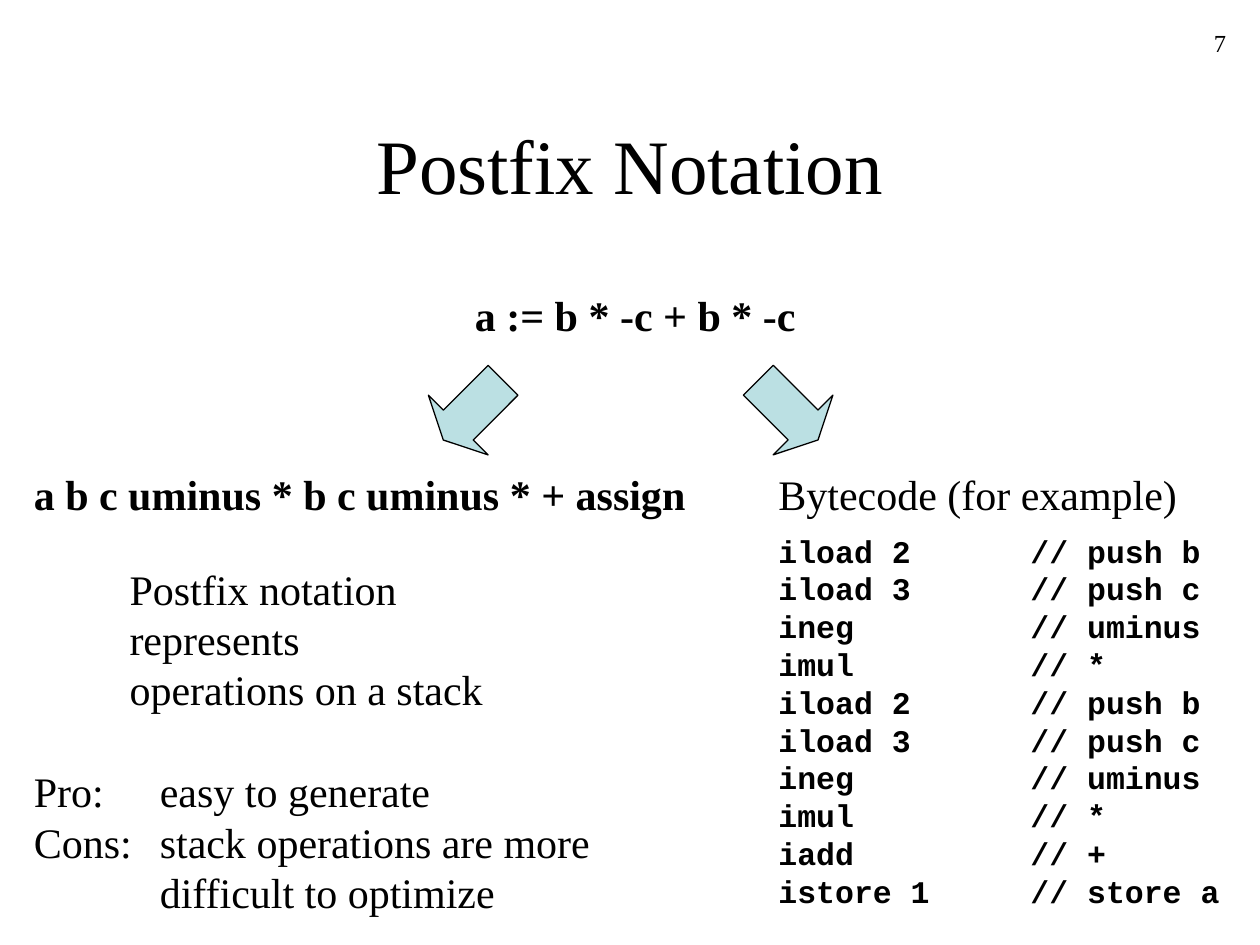
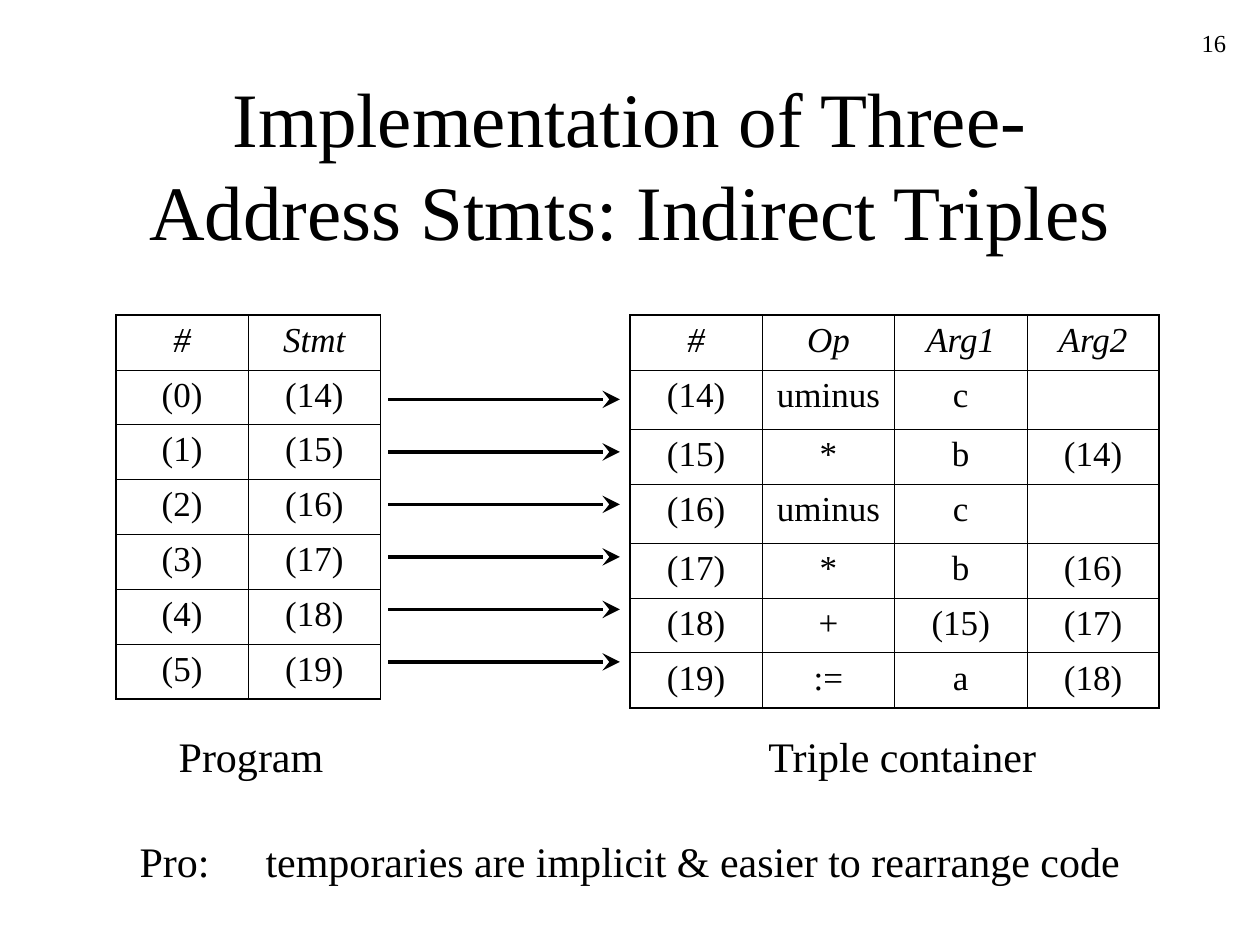
from dataclasses import dataclass

from lxml import etree
from pptx import Presentation
from pptx import util as u
from pptx.dml.color import RGBColor
from pptx.enum import shapes, text
from pptx.oxml import ns

In = u.Inches


@dataclass(frozen=True)
class Theme:
    serif: str = "Times New Roman"
    mono: str = "Courier New"
    ink: RGBColor = RGBColor(0x00, 0x00, 0x00)
    paper: RGBColor = RGBColor(0xFF, 0xFF, 0xFF)
    arrow: RGBColor = RGBColor(0xBB, 0xE0, 0xE3)
    title: int = 44
    body: int = 24
    cell: int = 20
    code: int = 18
    number: int = 14
    leading: float = 1.2
    cell_leading: float = 1.1
    outer: float = 1.08
    inner: float = 0.45


T = Theme()

POSTFIX_TITLE = "Postfix Notation"
TRIPLES_TITLE = "Implementation of Three-Address Stmts: Indirect Triples"

BYTECODE = [
    "iload 2\t// push b",
    "iload 3\t// push c",
    "ineg\t\t// uminus",
    "imul\t\t// *",
    "iload 2\t// push b",
    "iload 3\t// push c",
    "ineg\t\t// uminus",
    "imul\t\t// *",
    "iadd\t\t// +",
    "istore 1\t// store a",
]

POSTFIX_TEXTS = [
    ((3.67, 2.25, 2.85, 0.5), "a := b * -c + b * -c", dict(bold=True)),
    ((0.17, 3.67, 5.5, 0.5), "a b c uminus * b c uminus * + assign", dict(bold=True)),
    ((6.08, 4.17, 3.8, 3.1), "\v".join(BYTECODE), dict(size=T.code, font=T.mono, bold=True)),
    ((6.08, 3.67, 3.5, 0.5), "Bytecode (for example)", {}),
    ((0.93, 4.42, 3.7, 1.3), "Postfix notation represents\noperations on a stack", {}),
    ((0.17, 6.03, 4.8, 1.3),
     "Pro:\teasy to generate\nCons:\tstack operations are more\v\tdifficult to optimize", {}),
]
BLOCK_ARROWS = [(5.92, 45), (3.42, 135)]

PROGRAM = [("#", "Stmt")] + [(f"({i})", f"({i + 14})") for i in range(6)]
TRIPLES = [
    ("#", "Op", "Arg1", "Arg2"),
    ("(14)", "uminus", "c", ""),
    ("(15)", "*", "b", "(14)"),
    ("(16)", "uminus", "c", ""),
    ("(17)", "*", "b", "(16)"),
    ("(18)", "+", "(15)", "(17)"),
    ("(19)", ":=", "a", "(18)"),
]
TRIPLES_TEXTS = [
    ((6, 5.75, 2.5, 0.5), "Triple container", {}),
    ((1.01, 6.58, 8.2, 0.5), "Pro:\ttemporaries are implicit & easier to rearrange code", {}),
    ((1.32, 5.75, 1.5, 0.5), "Program", {}),
]
TABLE_TOP = 2.5
COL_W, ROW_H, BLANK_ROW_H = 1.05, 3.05 / 7, 0.47
LINK_X, LINK_TOP, LINK_STEP = (3.08, 4.92), 3.17, 5 / 12


def add_tabs(p):
    tabs = etree.SubElement(p._p.get_or_add_pPr(), ns.qn("a:tabLst"))
    for i in range(8):
        etree.SubElement(tabs, ns.qn("a:tab"), pos=str(In(i)), algn="l")


def style(p, size, font=T.serif, bold=False, italic=False,
          align=text.PP_ALIGN.LEFT, leading=T.leading):
    p.alignment = align
    p.line_spacing = u.Pt(round(size * leading, 1))
    if "\t" in p.text:
        add_tabs(p)
    f = p.font
    f.name, f.size, f.bold, f.italic = font, u.Pt(size), bold, italic
    f.color.rgb = T.ink


def add_text(s, box, words, anchor=text.MSO_ANCHOR.TOP, size=T.body, **look):
    tf = s.shapes.add_textbox(*map(In, box)).text_frame
    tf.word_wrap = True
    tf.vertical_anchor = anchor
    tf.text = words
    for p in tf.paragraphs:
        style(p, size, **look)


def add_slide(prs, title, number, texts):
    s = prs.slides.add_slide(prs.slide_layouts[6])
    s.background.fill.solid()
    s.background.fill.fore_color.rgb = T.paper
    add_text(s, (0.75, 0.67, 8.5, 1.25), title, size=T.title,
             anchor=text.MSO_ANCHOR.MIDDLE, align=text.PP_ALIGN.CENTER)
    add_text(s, (7.75, 0.17, 2.08, 0.5), number, size=T.number, align=text.PP_ALIGN.RIGHT)
    for box, words, look in texts:
        add_text(s, box, words, **look)
    return s


def add_block_arrow(s, left, angle):
    sp = s.shapes.add_shape(shapes.MSO_SHAPE.RIGHT_ARROW, In(left), In(2.92), In(0.67), In(0.67))
    sp.adjustments[0], sp.adjustments[1] = 0.5, 0.25
    sp.rotation = angle
    sp.shadow.inherit = False
    sp.fill.solid()
    sp.fill.fore_color.rgb = T.arrow
    sp.line.color.rgb = T.ink
    sp.line.width = u.Pt(0.75)


def set_borders(cell, outer_sides):
    tcPr = cell._tc.get_or_add_tcPr()
    for i, side in enumerate("LRTB"):
        width = T.outer if outer_sides[side] else T.inner
        ln = etree.Element(ns.qn(f"a:ln{side}"), w=str(u.Pt(width)))
        fill = etree.SubElement(ln, ns.qn("a:solidFill"))
        etree.SubElement(fill, ns.qn("a:srgbClr"), val=str(T.ink))
        tcPr.insert(i, ln)


def add_grid(s, left, rows):
    n, m = len(rows), len(rows[0])
    heights = [ROW_H if all(row) else BLANK_ROW_H for row in rows]
    table = s.shapes.add_table(n, m, In(left), In(TABLE_TOP),
                               In(m * COL_W), In(sum(heights))).table
    table.first_row = table.horz_banding = False
    for col in table.columns:
        col.width = In(COL_W)
    for r, row in enumerate(rows):
        table.rows[r].height = In(heights[r])
        for c, words in enumerate(row):
            cell = table.cell(r, c)
            cell.text = words
            cell.fill.background()
            style(cell.text_frame.paragraphs[0], T.cell, italic=r == 0,
                  align=text.PP_ALIGN.CENTER, leading=T.cell_leading)
            set_borders(cell, dict(L=c == 0, R=c == m - 1, T=r == 0, B=r == n - 1))


def add_link(s, y):
    x1, x2 = LINK_X
    link = s.shapes.add_connector(shapes.MSO_CONNECTOR.STRAIGHT, In(x1), In(y), In(x2), In(y))
    link.line.color.rgb = T.ink
    link.line.width = u.Pt(2)
    etree.SubElement(link.line._get_or_add_ln(), ns.qn("a:tailEnd"),
                     type="stealth", w="lg", len="lg")
    etree.SubElement(link._element.spPr, ns.qn("a:effectLst"))


def main():
    prs = Presentation()
    prs.slide_width, prs.slide_height = In(10), In(7.5)

    s = add_slide(prs, POSTFIX_TITLE, "7", POSTFIX_TEXTS)
    for left, angle in BLOCK_ARROWS:
        add_block_arrow(s, left, angle)

    s = add_slide(prs, TRIPLES_TITLE, "16", TRIPLES_TEXTS)
    add_grid(s, 5, TRIPLES)
    add_grid(s, 0.92, PROGRAM)
    for i in range(len(PROGRAM) - 1):
        add_link(s, LINK_TOP + i * LINK_STEP)

    prs.save("out.pptx")


if __name__ == "__main__":
    main()
